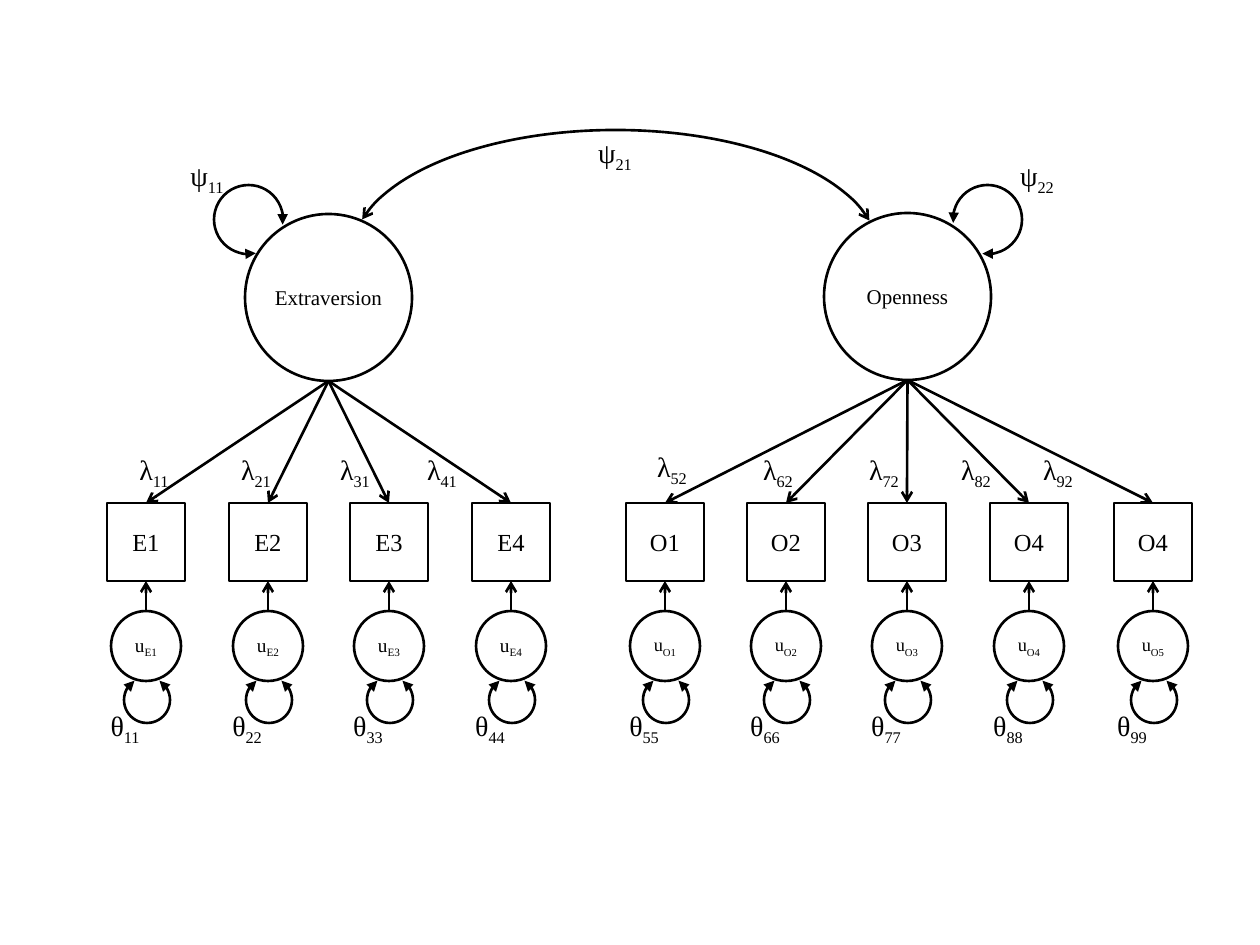
from lxml import etree
from pptx import Presentation
from pptx import util as u
from pptx.dml.color import RGBColor
from pptx.enum import shapes, text
from pptx.oxml.ns import qn

PX = 914400 / 126
BLACK = RGBColor(0, 0, 0)
WHITE = RGBColor(255, 255, 255)
FONT = "Times New Roman"
SHAPE = shapes.MSO_SHAPE

BOX, BOX_TOP = 78, 503
ERROR, ERROR_TOP = 70, 611
LOOP, LOOP_TOP = 46, 677
THETA_TOP = 702
FACTOR = 167

# Indicators: box text, error subscript, centre x, theta subscript,
# lambda subscript, lambda left, lambda top
FACTORS = [
    {"name": "Extraversion", "left": 245, "top": 214, "error_size": 11, "theta_height": 81,
     "psi": ("11", 175), "loop": (214, 135, 302.9),
     "indicators": [
         ("E1", "E1", 146, "11", "11", 122, 446),
         ("E2", "E2", 268, "22", "21", 224, 446),
         ("E3", "E3", 389, "33", "31", 323, 446),
         ("E4", "E4", 511, "44", "41", 410, 446)]},
    {"name": "Openness", "left": 824, "top": 213, "error_size": 10.5, "theta_height": 46,
     "psi": ("22", 1005), "loop": (953, 225, 309.3),
     "indicators": [
         ("O1", "O1", 665, "55", "52", 640, 443),
         ("O2", "O2", 786, "66", "62", 746, 446),
         ("O3", "O3", 907, "77", "72", 852, 446),
         ("O4", "O4", 1029, "88", "82", 944, 446),
         ("O4", "O5", 1153, "99", "92", 1026, 446)]},
]


def emu(*lengths):
    return [round(n * PX) for n in lengths]


def style_line(line, head=None, tail=None):
    line.color.rgb = BLACK
    line.width = u.Pt(1.5)
    ln = line._get_or_add_ln()
    for tag, kind in (("a:headEnd", head), ("a:tailEnd", tail)):
        if kind:
            etree.SubElement(ln, qn(tag)).set("type", kind)


def write(tf, base, size, sub=""):
    """Centred text, with an optional subscript."""
    p = tf.paragraphs[0]
    p.alignment = text.PP_ALIGN.CENTER
    for content in filter(None, (base, sub)):
        r = p.add_run()
        r.text = content
        r.font.name, r.font.size, r.font.color.rgb = FONT, u.Pt(size), BLACK
        if content is sub:
            r._r.get_or_add_rPr().set("baseline", "-25000")


def node(s, kind, left, top, side, base, size, sub="", inset=0.1):
    sp = s.shapes.add_shape(kind, *emu(left, top, side, side))
    sp.shadow.inherit = False
    sp.fill.solid()
    sp.fill.fore_color.rgb = WHITE
    style_line(sp.line)
    tf = sp.text_frame
    tf.margin_left = tf.margin_right = u.Inches(inset)
    tf.vertical_anchor = text.MSO_ANCHOR.MIDDLE
    tf.word_wrap = False
    write(tf, base, size, sub)
    return sp


def label(s, symbol, sub, left, top, width=64, height=46):
    tf = s.shapes.add_textbox(*emu(left, top, width, height)).text_frame
    tf.word_wrap = False
    tf.auto_size = text.MSO_AUTO_SIZE.SHAPE_TO_FIT_TEXT
    write(tf, symbol, 16, sub)


def arc(s, left, top, width, height, start, end, tip="triangle", rotation=0):
    """Double-headed arc; start and end are degrees clockwise from the right."""
    sp = s.shapes.add_shape(SHAPE.ARC, *emu(left, top, width, height))
    sp.shadow.inherit = False
    sp.fill.background()
    style_line(sp.line, tip, tip)
    # Angles are stored in 1/60000 degree, adjustments in 1/100000
    sp.adjustments[0], sp.adjustments[1] = start * 0.6, end * 0.6
    sp.rotation = rotation


def arrow(s, x, y, box, site):
    """Arrow from a point to a connection site of an indicator box."""
    c = s.shapes.add_connector(shapes.MSO_CONNECTOR.STRAIGHT, *emu(x, y, x, y))
    c.end_connect(box, site)
    style_line(c.line, tail="arrow")
    etree.SubElement(c._element.spPr, qn("a:effectLst"))


def draw_factor(s, f):
    left, top = f["left"], f["top"]
    for name, error, x, theta, lam, lam_left, lam_top in f["indicators"]:
        box = node(s, SHAPE.RECTANGLE, x - BOX / 2, BOX_TOP, BOX, name, 14)
        arrow(s, left + FACTOR / 2, top + FACTOR, box, 0)
        arrow(s, x, ERROR_TOP, box, 2)
        node(s, SHAPE.OVAL, x - ERROR / 2, ERROR_TOP, ERROR, "u", f["error_size"], error)
        arc(s, x - 22, LOOP_TOP, LOOP, LOOP, 302.9, 237.1)
        label(s, "θ", theta, x - 50, THETA_TOP, 58, f["theta_height"])
        label(s, "λ", lam, lam_left, lam_top)
    node(s, SHAPE.OVAL, left, top, FACTOR, f["name"], 12, inset=0)
    loop_left, rotation, start = f["loop"]
    arc(s, loop_left, 185, 69, 69, start, 233.5, rotation=rotation)
    sub, psi_left = f["psi"]
    label(s, "ψ", sub, psi_left, 152)


def main():
    prs = Presentation()
    prs.slide_width, prs.slide_height = emu(1260, 945)
    s = prs.slides.add_slide(prs.slide_layouts[6])
    for f in FACTORS:
        draw_factor(s, f)
    arc(s, 352, 130, 527, 247, 187.66, 352.61, tip="arrow")
    label(s, "ψ", "21", 581, 129, 68)
    prs.save("out.pptx")


if __name__ == "__main__":
    main()
